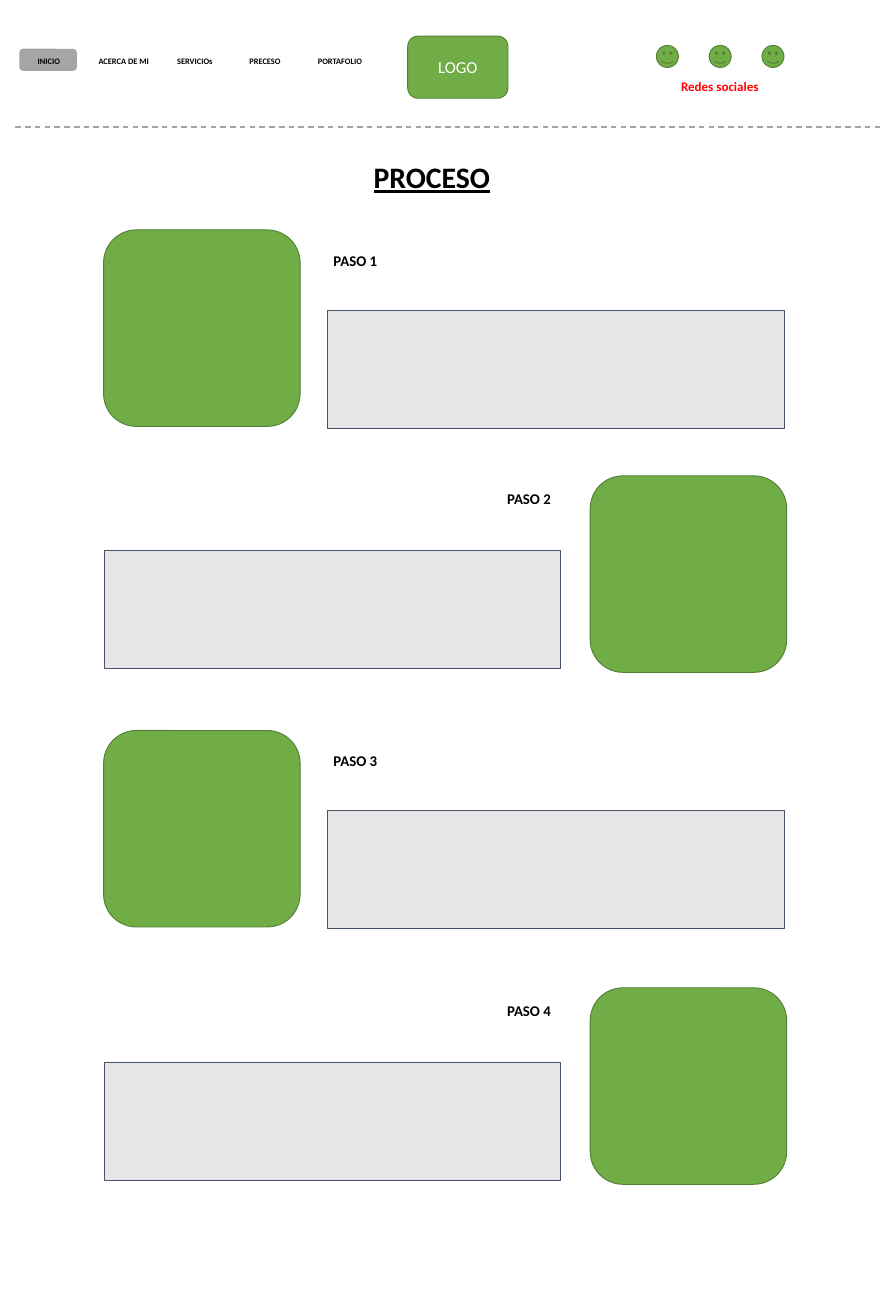
from lxml.etree import SubElement
from pptx import Presentation
from pptx.dml.color import RGBColor
from pptx.enum.dml import MSO_LINE
from pptx.enum.shapes import MSO_CONNECTOR, MSO_SHAPE
from pptx.enum.text import MSO_ANCHOR, MSO_AUTO_SIZE, PP_ALIGN
from pptx.oxml.ns import qn
from pptx.util import Inches, Pt

GREEN, DARK_GREEN = "70AD47", "538035"
GRAY, PALE, SLATE = "A5A5A5", "E7E6E6", "44546A"
BLACK, WHITE, RED = "000000", "FFFFFF", "FF0000"

NAV_ITEMS = [
    ("INICIO", 0.06, 0.76),
    ("ACERCA DE MI", 0.97, 1.18),
    ("SERVICIOs", 2.16, 0.93),
    ("PRECESO", 3.26, 0.83),
    ("PORTAFOLIO", 4.24, 1.11),
]
STEPS = [
    ("PASO 1", 3.44, False),
    ("PASO 2", 7.12, True),
    ("PASO 3", 10.93, False),
    ("PASO 4", 14.78, True),
]


def color(value):
    return RGBColor.from_string(value)


def set_values(target, values):
    for name, value in values.items():
        setattr(target, name, value)


def write(box, text, size, ink, align=PP_ALIGN.LEFT, **style):
    para = box.text_frame.paragraphs[0]
    set_values(para, {"alignment": align, "line_spacing": 1.0})
    span = para.add_run()
    span.text = text
    set_values(span.font, {"name": "Calibri", "size": Pt(size), **style})
    span.font.color.rgb = color(ink)


def add_label(shapes, place, text, size, ink=BLACK, align=PP_ALIGN.LEFT):
    box = shapes.add_textbox(*map(Inches, place))
    set_values(box.text_frame, {
        "word_wrap": True,
        "auto_size": MSO_AUTO_SIZE.SHAPE_TO_FIT_TEXT,
    })
    write(box, text, size, ink, align, bold=True)


def add_block(shapes, kind, place, fill=GREEN, outline=DARK_GREEN):
    block = shapes.add_shape(kind, *map(Inches, place))
    block.shadow.inherit = False
    block.fill.solid()
    block.fill.fore_color.rgb = color(fill)
    if outline:
        block.line.color.rgb = color(outline)
        block.line.width = Pt(1)
    else:
        block.line.fill.background()
    return block


def add_title(page, place):
    title = page.shapes.title
    names = ("left", "top", "width", "height")
    set_values(title, dict(zip(names, map(Inches, place))))
    set_values(title.text_frame, {
        "word_wrap": True,
        "vertical_anchor": MSO_ANCHOR.TOP,
    })
    write(title, "PROCESO", 32, BLACK, PP_ALIGN.CENTER, bold=True, underline=True)


def add_navigation(page, left, top):
    menu = page.shapes.add_group_shape()
    add_block(menu.shapes, MSO_SHAPE.ROUNDED_RECTANGLE,
              (left, top, 0.86, 0.33), GRAY, None)
    for text, offset, width in NAV_ITEMS:
        add_label(menu.shapes, (left + offset, top + 0.06, width, 0.25),
                  text, 9, align=PP_ALIGN.CENTER)


def add_logo(page, place):
    logo = add_block(page.shapes, MSO_SHAPE.ROUNDED_RECTANGLE, place)
    logo.text_frame.vertical_anchor = MSO_ANCHOR.MIDDLE
    write(logo, "LOGO", 18, WHITE, PP_ALIGN.CENTER)


def add_social(page, left, top):
    for index in range(3):
        add_block(page.shapes, MSO_SHAPE.SMILEY_FACE,
                  (left + index * 0.79, top, 0.33, 0.33))
    add_label(page.shapes, (left + 0.27, top + 0.45, 1.36, 0.34),
              "Redes sociales", 14, RED)


def add_divider(page, left, top, width):
    divider = page.shapes.add_connector(
        MSO_CONNECTOR.STRAIGHT,
        *map(Inches, (left, top, left + width, top)))
    divider.line.color.rgb = color(GRAY)
    set_values(divider.line, {"width": Pt(1.5), "dash_style": MSO_LINE.DASH})
    SubElement(divider.element.spPr, qn("a:effectLst"))


def add_step(page, left, top, text, mirrored):
    if mirrored:
        square_x, label_x, panel_x = 7.28, 0.91, 0.01
        label_y, panel_y, align = 0.16, 1.11, PP_ALIGN.RIGHT
    else:
        square_x, label_x, panel_x = 0, 3.34, 3.35
        label_y, panel_y, align = 0.27, 1.2, PP_ALIGN.LEFT
    add_block(page.shapes, MSO_SHAPE.ROUNDED_RECTANGLE,
              (left + square_x, top, 2.94, 2.94))
    add_label(page.shapes, (left + label_x, top + label_y, 5.88, 0.37),
              text, 16, align=align)
    add_block(page.shapes, MSO_SHAPE.RECTANGLE,
              (left + panel_x, top + panel_y, 6.83, 1.77), PALE, SLATE)


deck = Presentation()
set_values(deck, {"slide_width": Inches(13.33), "slide_height": Inches(19.69)})
page = deck.slides.add_slide(deck.slide_layouts[5])
add_title(page, (3.52, 2.33, 5.88, 0.64))
add_navigation(page, 0.29, 0.73)
add_logo(page, (6.1, 0.54, 1.5, 0.93))
add_social(page, 9.82, 0.68)
add_divider(page, 0.23, 1.9, 12.93)
for text, top, mirrored in STEPS:
    add_step(page, 1.55, top, text, mirrored)
deck.save("out.pptx")
